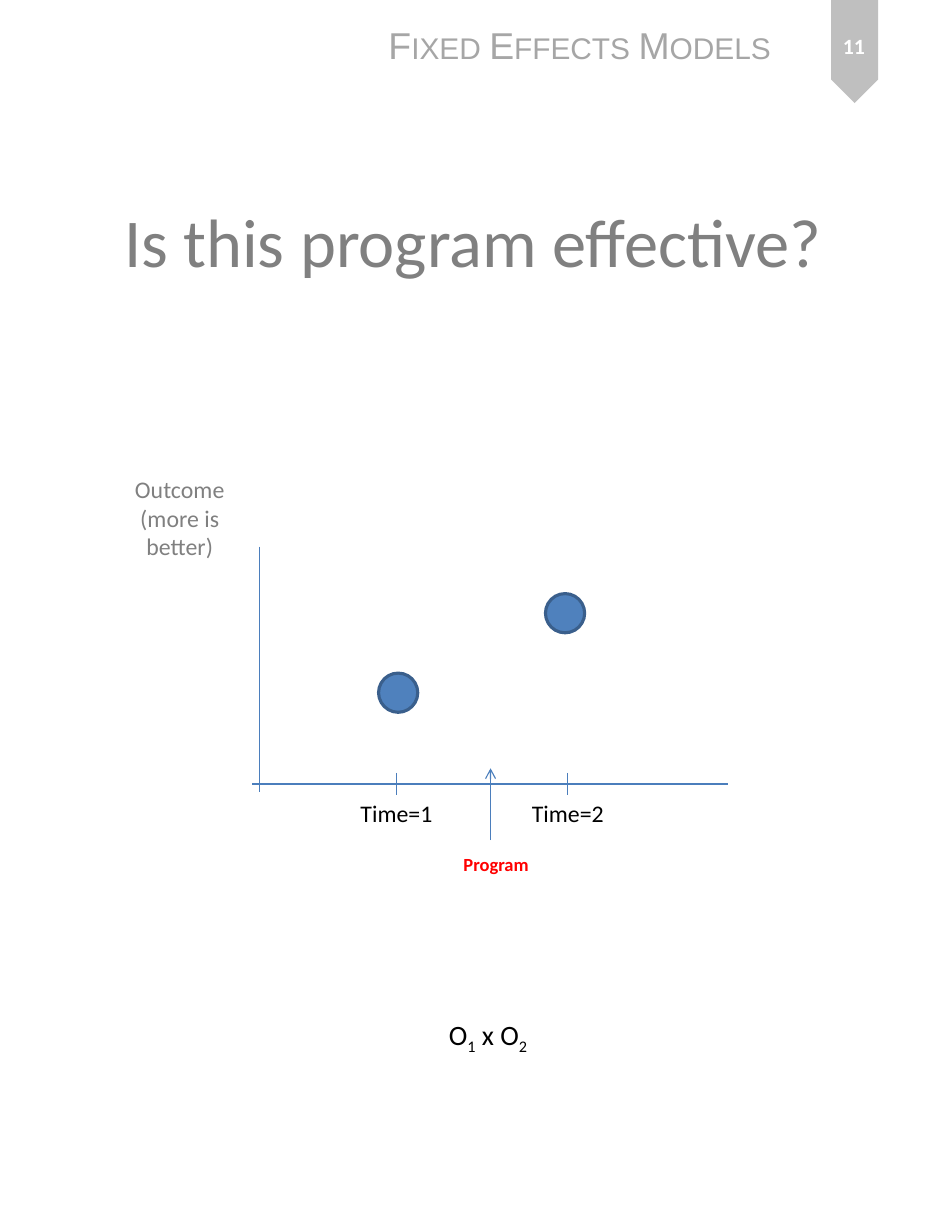
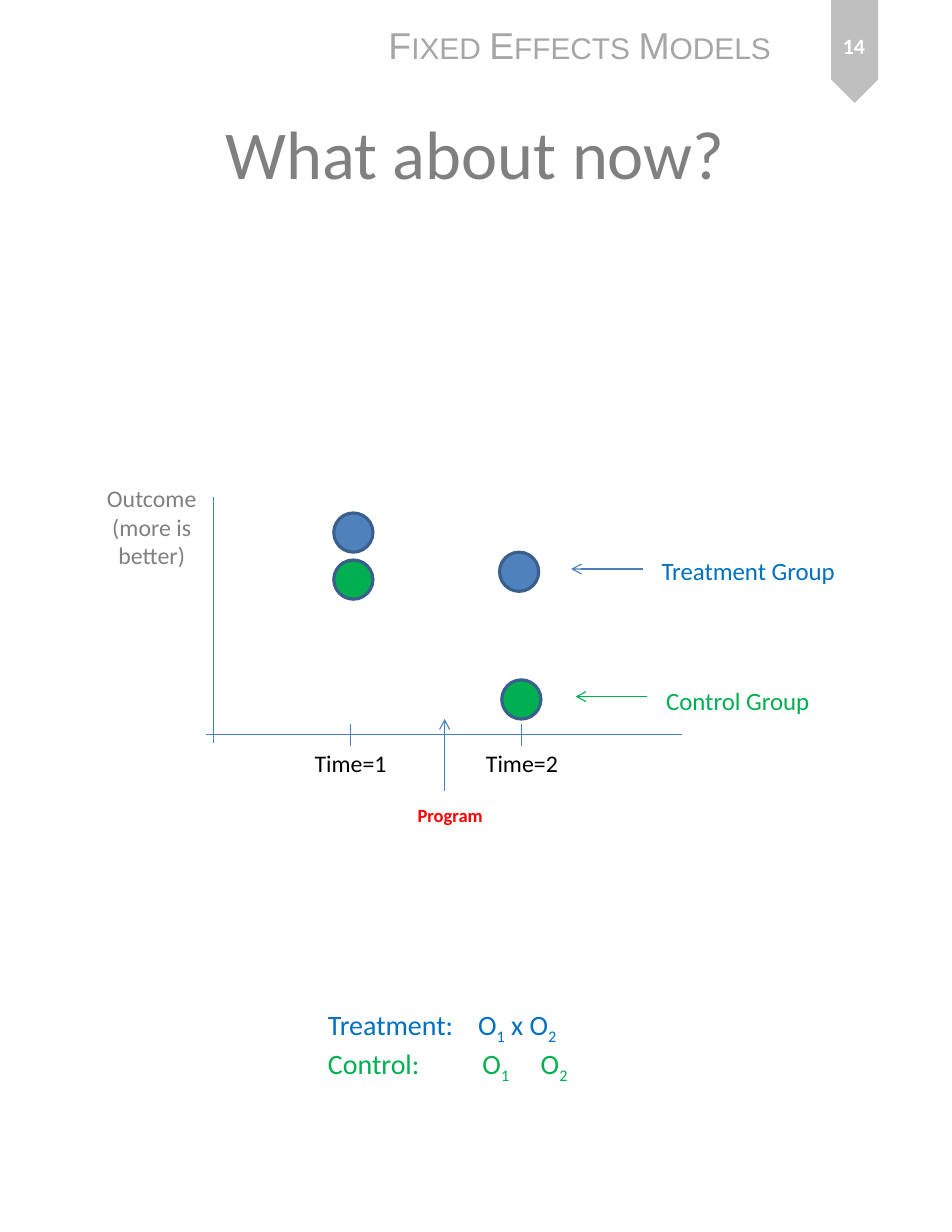
import copy
import pptx
import pptx.util
import pptx.oxml
import pptx.oxml.ns
import pptx.dml.color
import pptx.enum.shapes
import pptx.enum.text

Inches = pptx.util.Inches
Pt = pptx.util.Pt
RGBColor = pptx.dml.color.RGBColor
MSO_SHAPE = pptx.enum.shapes.MSO_SHAPE
ALIGN = pptx.enum.text.PP_ALIGN
ANCHOR = pptx.enum.text.MSO_ANCHOR
AUTO_SIZE = pptx.enum.text.MSO_AUTO_SIZE
qn = pptx.oxml.ns.qn

COLORS = {
    "band": "BFBFBF", "header": "A6A6A6", "title": "808080", "text": "000000",
    "white": "FFFFFF", "program": "FF0000", "axis": "4B7EBC", "outline": "3A5F8C",
    "dot": "4F81BD", "treatment": "0070C0", "control": "00B050",
}
COLORS = {name: RGBColor.from_string(value) for name, value in COLORS.items()}
DOT_SIZE = 0.35


def add_text(page, place, lines, size, color, font="Calibri", bold=None, align=None, wrap=False):
    box = page.shapes.add_textbox(*map(Inches, place))
    frame = box.text_frame
    frame.word_wrap = wrap
    frame.auto_size = AUTO_SIZE.NONE if wrap else AUTO_SIZE.SHAPE_TO_FIT_TEXT
    for number, segments in enumerate(lines):
        para = frame.add_paragraph() if number else frame.paragraphs[0]
        para.text = segments[0]
        for segment in segments[1:]:
            para.add_run().text = segment
        para.alignment = align
        for span in para.runs:
            span.font.size = Pt(size)
            span.font.name = font
            span.font.bold = bold
            span.font.color.rgb = COLORS[color]
            if len(segments) > 1 and span.text.isdigit():
                span._r.get_or_add_rPr().set("baseline", "-25000")
        for line_break in para._p.findall(qn("a:br")):
            line_break.insert(0, copy.deepcopy(para.runs[0]._r.rPr))
    return box


def add_line(page, start, end, color="axis", arrow=False):
    line = page.shapes.add_connector(
        pptx.enum.shapes.MSO_CONNECTOR.STRAIGHT, *map(Inches, (*start, *end)))
    line.line.color.rgb = COLORS[color]
    line.line.width = Pt(0.75)
    if arrow:
        pptx.oxml.ns.nsmap
        tail = line.line._get_or_add_ln().makeelement(qn("a:tailEnd"), {"type": "arrow"})
        line.line._get_or_add_ln().append(tail)
    properties = line._element.spPr
    properties.append(properties.makeelement(qn("a:effectLst"), {}))


PAGES = [
    {
        "number": "11", "title": "Is this program effective?", "title_at": (0.4, 1.23),
        "origin": (2.32, 7), "outcome_at": (1.1, 4.19),
        "dots": [(3.38, 6.01, "dot"), (4.87, 5.3, "dot")],
        "groups": [],
        "design_at": (3.91, 9.04, 0.93, 0.4),
        "design": [(["O", "1", " x O", "2"], "text", [])],
    },
    {
        "number": "14", "title": "What about now?", "title_at": (0.42, 0.44),
        "origin": (1.91, 6.56), "outcome_at": (0.85, 4.27),
        "dots": [(2.98, 4.58, "dot"), (4.46, 4.93, "dot"),
                 (2.98, 5, "control"), (4.48, 6.07, "control")],
        "groups": [("Treatment Group", "treatment", "axis", 5.1, 5.08, (5.81, 4.91, 1.77, 0.37)),
                   ("Control Group", "control", "control", 5.14, 6.22, (5.85, 6.07, 1.5, 0.37))],
        "design_at": (2.83, 8.95, 2.4, 0.71),
        "design": [(["Treatment:\tO", "1", " x O", "2"], "treatment", [1.34]),
                   (["Control:\tO", "1", "\tO", "2"], "control", [1.38, 1.9])],
    },
]

deck = pptx.Presentation()
deck.slide_width = Inches(8.5)
deck.slide_height = Inches(11)

for content in PAGES:
    page = deck.slides.add_slide(deck.slide_layouts[5])

    title = page.shapes.title
    title.left, title.top = map(Inches, content["title_at"])
    title.width, title.height = Inches(7.65), Inches(1.83)
    title.text_frame.text = content["title"]
    title.text_frame.vertical_anchor = ANCHOR.MIDDLE
    title.text_frame.paragraphs[0].alignment = ALIGN.CENTER
    heading = title.text_frame.paragraphs[0].runs[0].font
    heading.size = Pt(44)
    heading.name = "Calibri"
    heading.color.rgb = COLORS["title"]

    ribbon = page.shapes.add_shape(MSO_SHAPE.PENTAGON, *map(Inches, (7.17, 0.25, 0.92, 0.42)))
    ribbon.rotation = 90
    ribbon.shadow.inherit = False
    ribbon.fill.solid()
    ribbon.fill.fore_color.rgb = COLORS["band"]
    ribbon.line.fill.background()

    header = add_text(page, (3.37, 0.15, 3.68, 0.5), [["Fixed Effects Models"]], 24, "header", "Arial")
    header.text_frame.paragraphs[0].runs[0]._r.get_or_add_rPr().set("cap", "small")
    number = add_text(page, (7.29, 0.11, 0.67, 0.59), [[content["number"]]], 14, "white",
                      bold=True, align=ALIGN.CENTER, wrap=True)
    number.text_frame.vertical_anchor = ANCHOR.MIDDLE

    for left, top, color in content["dots"]:
        dot = page.shapes.add_shape(MSO_SHAPE.OVAL, *map(Inches, (left, top, DOT_SIZE, DOT_SIZE)))
        dot.shadow.inherit = False
        dot.fill.solid()
        dot.fill.fore_color.rgb = COLORS[color]
        dot.line.color.rgb = COLORS["outline"]
        dot.line.width = Pt(2)

    x, y = content["origin"]
    add_line(page, (x, y - 2.12), (x, y + 0.07))
    add_line(page, (x - 0.07, y), (x + 4.18, y))
    add_line(page, (x + 2.06, y + 0.5), (x + 2.06, y - 0.14), arrow=True)
    add_text(page, (x + 1.72, y + 0.57, 0.8, 0.3), [["Program"]], 11.9, "program", bold=True)
    add_text(page, (*content["outcome_at"], 1.01, 0.87), [["Outcome\v(more is\vbetter)"]],
             15.3, "title", align=ALIGN.CENTER)
    for period, tick in enumerate((1.22, 2.75), 1):
        add_line(page, (x + tick, y - 0.1), (x + tick, y + 0.1))
        add_text(page, (x + tick - 0.42, y + 0.08, 0.85, 0.36), [[f"Time={period}"]], 15.3, "text")

    for label, color, arrow_color, tip, height, place in content["groups"]:
        add_line(page, (tip + 0.64, height), (tip, height), arrow_color, arrow=True)
        add_text(page, place, [[label]], 16, color)

    design = content["design"]
    box = add_text(page, content["design_at"], [segments for segments, _, _ in design], 18, "text")
    box.text_frame.word_wrap = len(design) > 1
    for para, (_, color, stops) in zip(box.text_frame.paragraphs, design):
        for span in para.runs:
            span.font.color.rgb = COLORS[color]
        if stops:
            properties = para._p.get_or_add_pPr()
            tabs = properties.makeelement(qn("a:tabLst"), {})
            for stop in stops:
                tabs.append(tabs.makeelement(qn("a:tab"), {"pos": str(Inches(stop)), "algn": "l"}))
            properties.append(tabs)

deck.save("out.pptx")
